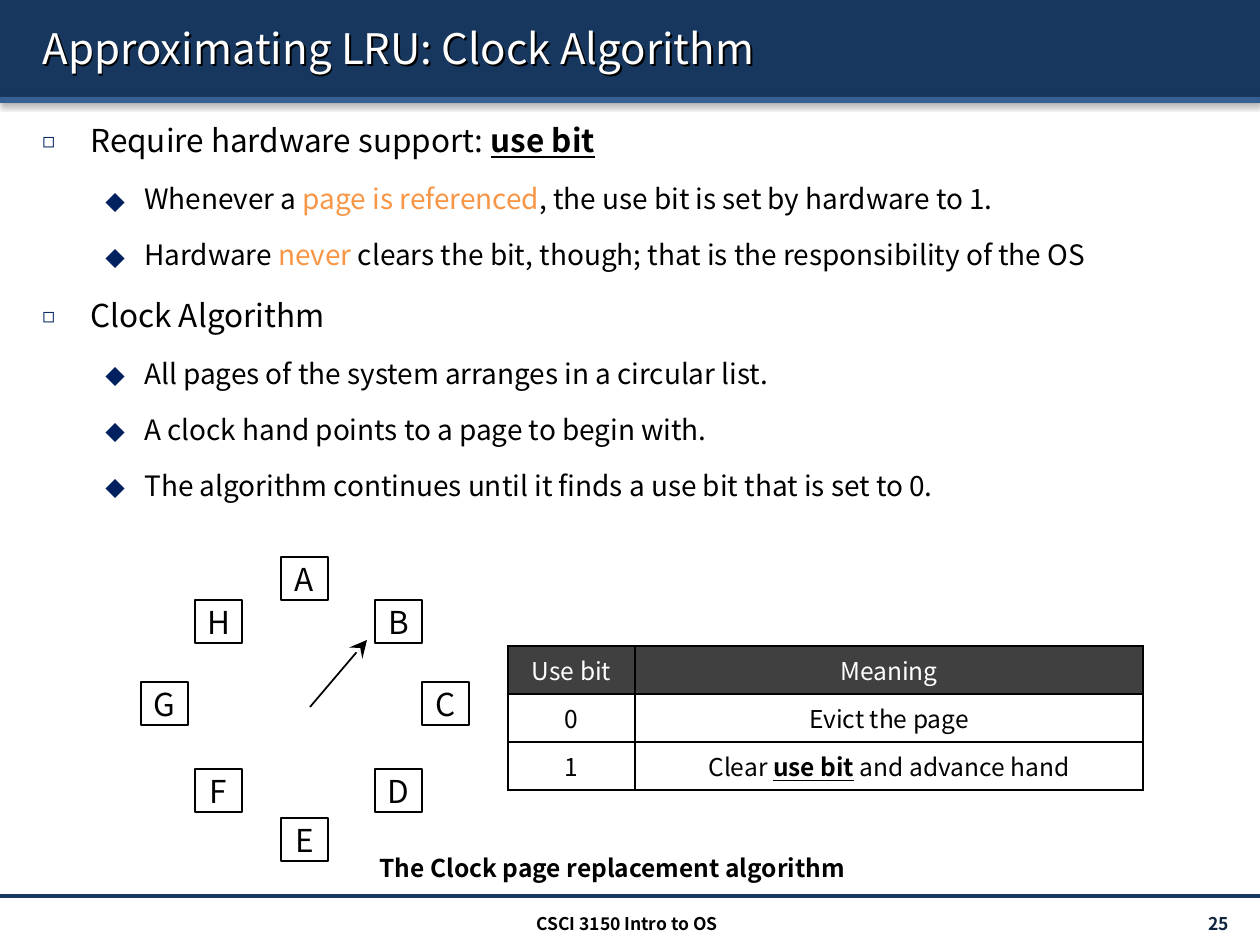
from dataclasses import dataclass

from lxml import etree
from pptx import Presentation
from pptx import util as u
from pptx.dml.color import RGBColor
from pptx.enum import shapes, text
from pptx.oxml.ns import qn


@dataclass(frozen=True)
class Theme:
    font: str = "Noto Sans CJK KR"
    navy: str = "17375E"
    blue: str = "376092"
    mark: str = "002060"
    hot: str = "F79646"
    gray: str = "404040"
    dark: str = "0F243E"
    black: str = "000000"
    white: str = "FFFFFF"
    title: int = 24
    head: int = 18
    sub: int = 16
    note: int = 14
    foot: int = 10


T = Theme()
LEFT, MID, RIGHT = text.PP_ALIGN.LEFT, text.PP_ALIGN.CENTER, text.PP_ALIGN.RIGHT
MIDDLE, TOP = text.MSO_ANCHOR.MIDDLE, text.MSO_ANCHOR.TOP


def px(n):
    return u.Emu(round(n * 914400 / 126))


def rgb(code):
    return RGBColor.from_string(code)


def add(node, tag, **attrs):
    return etree.SubElement(node, qn(tag), {k: str(v) for k, v in attrs.items()})


def shade(node, blur, dist, angle, alpha):
    """Append an outer black shadow to shape properties."""
    cast = add(add(node, "a:effectLst"), "a:outerShdw", blurRad=u.Pt(blur),
               dist=u.Pt(dist), dir=angle * 60000, algn="ctr", rotWithShape=0)
    add(add(cast, "a:srgbClr", val=T.black), "a:alpha", val=alpha * 1000)


def write(para, words, size=T.note, color=T.black, bold=False, align=LEFT):
    """Fill a paragraph; words is a string or a list of (string, style)."""
    para.alignment = align
    for part, style in [(words, "")] if isinstance(words, str) else words:
        run = para.add_run()
        run.text = part
        font = run.font
        font.name, font.size = T.font, u.Pt(size)
        font.bold = bold or style == "key"
        font.underline = style == "key"
        font.color.rgb = rgb(T.hot if style == "hot" else color)


def bullet(para, sign, left, hang, scale):
    prop = para._p.get_or_add_pPr()
    prop.set("marL", str(px(left)))
    prop.set("indent", str(-px(hang)))
    add(add(prop, "a:buClr"), "a:srgbClr", val=T.mark)
    add(prop, "a:buSzPct", val=scale * 1000)
    add(prop, "a:buFont", typeface=T.font)
    add(prop, "a:buChar", char=sign)


class Page:
    def __init__(self, deck):
        self.slide = deck.slides.add_slide(deck.slide_layouts[5])
        self.items = self.slide.shapes

    def title(self, words, x, y, w, h):
        head = self.items.title
        head.left, head.top, head.width, head.height = map(px, (x, y, w, h))
        head.text_frame.vertical_anchor = MIDDLE
        write(head.text_frame.paragraphs[0], words, T.title, T.white)
        # Without a fill, the shadow falls from the letters
        head.fill.background()
        shade(head._element.spPr, 0, 1.5, 45, 100)
        # Keep the title in front of the band
        self.items._spTree.append(head._element)

    def rect(self, x, y, w, h, fill, line=None, words=None, **form):
        box = self.items.add_shape(shapes.MSO_SHAPE.RECTANGLE, *map(px, (x, y, w, h)))
        box.shadow.inherit = False
        box.fill.solid()
        box.fill.fore_color.rgb = rgb(fill)
        if line:
            box.line.color.rgb = rgb(line)
            box.line.width = u.Pt(1)
        else:
            box.line.fill.background()
        if words:
            frame = box.text_frame
            frame.margin_left = frame.margin_right = 0
            frame.margin_top = frame.margin_bottom = 0
            write(frame.paragraphs[0], words, **form)
        return box

    def band(self, y, h, fill):
        prop = self.rect(0, y, 1260, h, fill)._element.spPr
        prop.remove(prop.find(qn("a:effectLst")))
        shade(prop, 3.1, 1.6, 90, 38)

    def line(self, x1, y1, x2, y2, color, width, tip=None):
        rule = self.items.add_connector(shapes.MSO_CONNECTOR.STRAIGHT,
                                        *map(px, (x1, y1, x2, y2)))
        rule.line.color.rgb = rgb(color)
        rule.line.width = u.Pt(width)
        if tip:
            add(rule.line._get_or_add_ln(), "a:tailEnd", type=tip, w="lg", len="lg")
        add(rule._element.spPr, "a:effectLst")

    def frame(self, x, y, w, h, anchor=TOP):
        frame = self.items.add_textbox(*map(px, (x, y, w, h))).text_frame
        frame.word_wrap = True
        frame.vertical_anchor = anchor
        return frame

    def label(self, words, x, y, w, h, anchor=TOP, **form):
        write(self.frame(x, y, w, h, anchor).paragraphs[0], words, **form)

    def outline(self, rows, x, y, w, h):
        frame = self.frame(x, y, w, h)
        for i, (level, words) in enumerate(rows):
            para = frame.add_paragraph() if i else frame.paragraphs[0]
            size = T.sub if level else T.head
            para.level = level
            para.line_spacing = 1.5
            para.space_before = u.Pt(size / 5 if i else 0)
            if level:
                bullet(para, "⬥", 102, 39, 100)
            else:
                bullet(para, "◻", 48, 48, 65)
            write(para, words, size)

    def table(self, rows, x, y, cols, step):
        grid = self.items.add_table(len(rows), len(cols), px(x), px(y),
                                    px(sum(cols)), px(step * len(rows))).table
        for col, w in zip(grid.columns, cols):
            col.width = px(w)
        for r, row in enumerate(rows):
            for c, words in enumerate(row):
                cell = grid.cell(r, c)
                cell.vertical_anchor = MIDDLE
                write(cell.text_frame.paragraphs[0], words,
                      color=T.black if r else T.white, align=MID)
                prop = cell._tc.get_or_add_tcPr()
                for side in ("a:lnL", "a:lnR", "a:lnT", "a:lnB"):
                    edge = add(prop, side, w=u.Pt(1))
                    add(add(edge, "a:solidFill"), "a:srgbClr", val=T.black)
                cell.fill.solid()
                cell.fill.fore_color.rgb = rgb(T.white if r else T.gray)


def main():
    deck = Presentation()
    deck.slide_width, deck.slide_height = px(1260), px(945)
    page = Page(deck)

    # Header band and footer
    page.band(0, 97, T.navy)
    page.band(97, 6, T.blue)
    page.line(0, 896, 1260, 896, T.navy, 2)
    page.title("Approximating LRU: Clock Algorithm", 30, 7, 1211, 81)
    page.label("25", 1098, 908, 143, 30, MIDDLE, size=T.foot, color=T.dark,
               bold=True, align=RIGHT)
    page.label("CSCI 3150 Intro to OS", 418, 907, 418, 30, size=T.foot,
               bold=True, align=MID)

    # Outline
    page.outline([
        (0, [("Require hardware support: ", ""), ("use bit", "key")]),
        (1, [("Whenever a ", ""), ("page is referenced", "hot"),
             (", the use bit is set by hardware to 1.", "")]),
        (1, [("Hardware ", ""), ("never", "hot"),
             (" clears the bit, though; that is the responsibility of the OS", "")]),
        (0, "Clock Algorithm"),
        (1, "All pages of the system arranges in a circular list."),
        (1, "A clock hand points to a page to begin with."),
        (1, "The algorithm continues until it finds a use bit that is set to 0."),
    ], 30, 96, 1211, 758)

    # Clock of pages with its hand
    spots = [(281, 557), (375, 600), (422, 682), (375, 769),
             (281, 818), (195, 769), (141, 682), (195, 600)]
    for name, (x, y) in zip("ABCDEFGH", spots):
        page.rect(x, y, 47, 43, T.white, T.black, name, size=T.head, align=MID)
    page.line(310, 707, 367, 640, T.black, 1, "stealth")

    # Use bit table and caption
    page.table([("Use bit", "Meaning"), ("0", "Evict the page"),
                ("1", [("Clear ", ""), ("use bit", "key"), (" and advance hand", "")])],
               508, 646, (127, 508), 48)
    page.rect(367, 847, 507, 43, T.white)
    page.label("The Clock page replacement algorithm", 367, 847, 507, 43, bold=True)

    deck.save("out.pptx")


if __name__ == "__main__":
    main()
